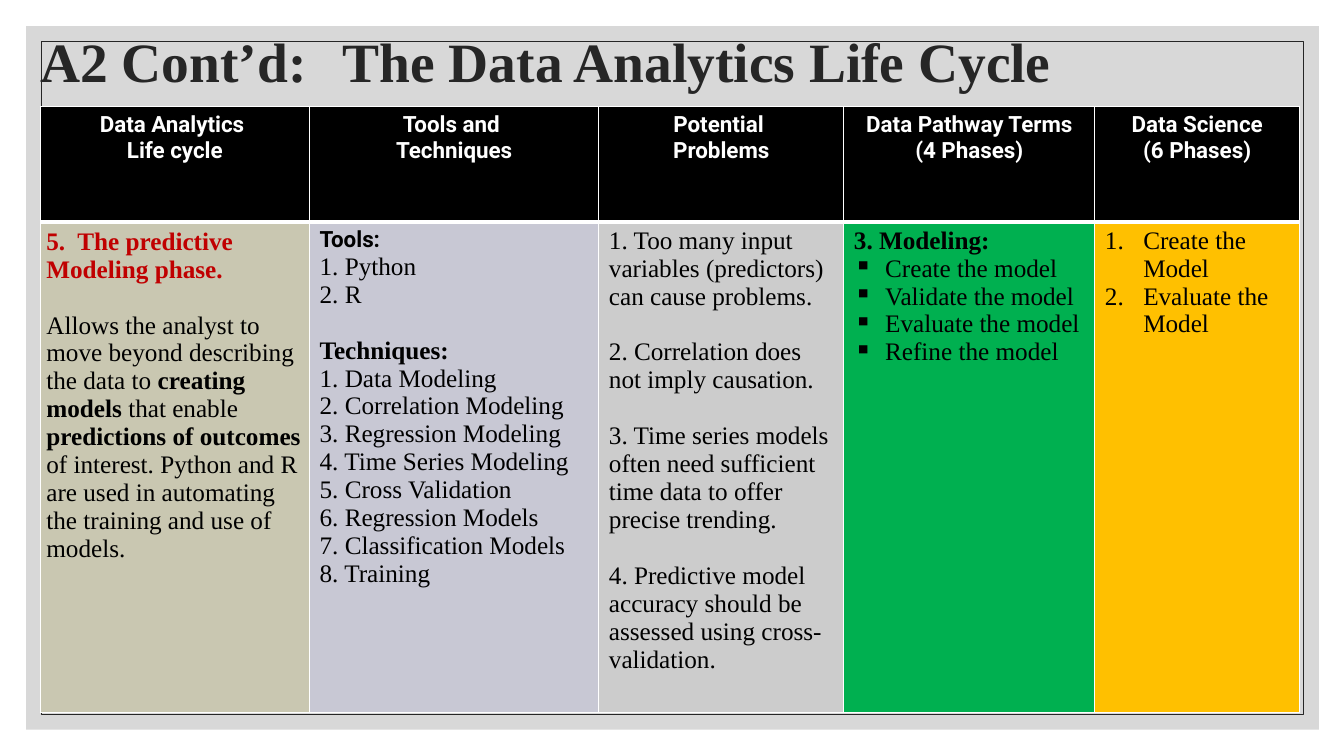
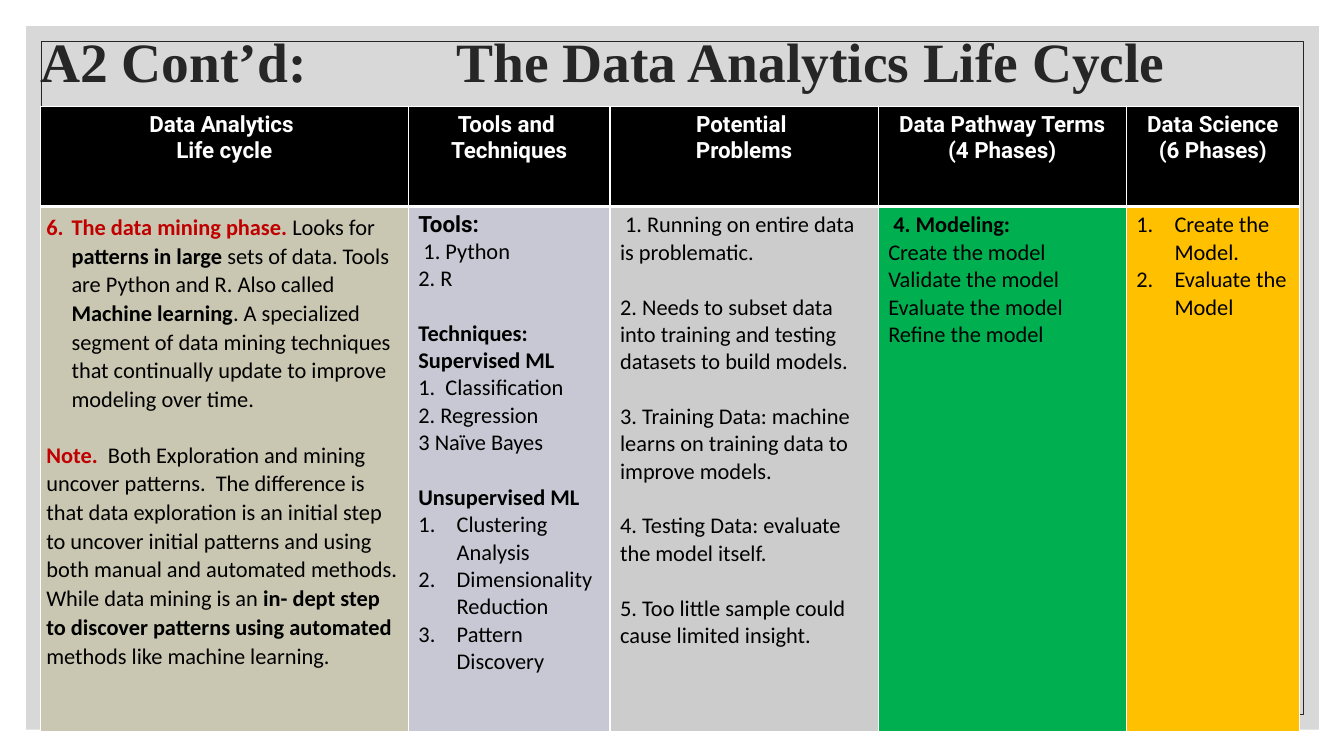
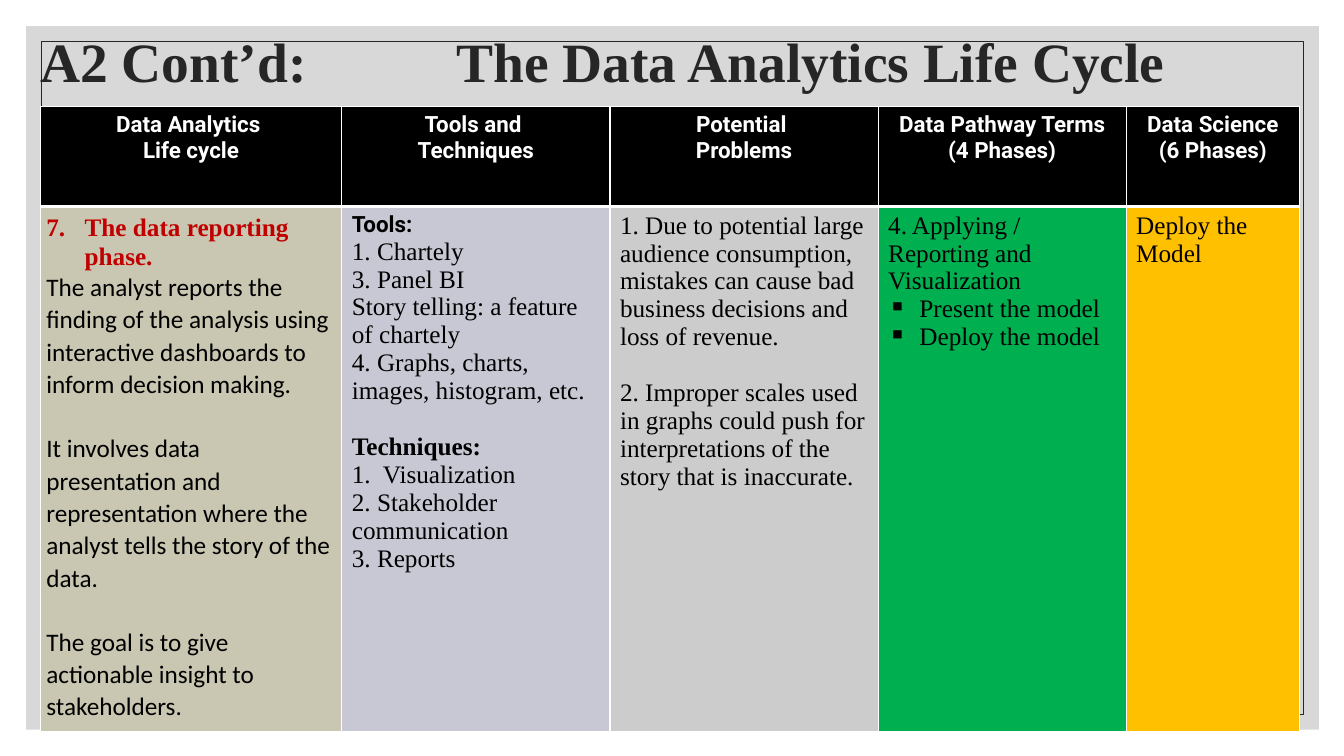
from dataclasses import dataclass
from typing import NamedTuple

from lxml import etree
from pptx import Presentation
from pptx import util as u
from pptx.dml.color import RGBColor
from pptx.enum import shapes, text
from pptx.oxml.ns import qn

# Shared colours
BLACK, WHITE, RED, INK, PANEL = "000000", "FFFFFF", "C00000", "262626", "BFBFBF"
COLUMN_FILLS = ("C9C7B1", "C8C8D4", "CCCCCC", "00B050", "FFC000")

HEADINGS = (
    ("Data Analytics ", "Life cycle"),
    ("Tools and ", "Techniques"),
    ("Potential ", "Problems"),
    ("Data Pathway Terms", "(4 Phases)"),
    ("Data Science", "(6 Phases)"),
)


# Building blocks
class Face(NamedTuple):
    font: str
    size: float
    gap: float = 0  # points above a paragraph that opens a new group
    spacing: float = 1.0


class Run(NamedTuple):
    text: str
    bold: bool = False
    color: str = BLACK


@dataclass(frozen=True)
class Para:
    face: Face
    runs: tuple[Run, ...]
    gap: bool = False
    mark: str = ""  # "1." numbers the paragraph, any other sign is a bullet
    start: int = 1
    indent: float = 0
    centred: bool = False


@dataclass(frozen=True)
class Phase:
    title_tab: float
    widths: tuple[float, ...]
    heights: tuple[float, float]
    cells: tuple[list[Para], ...]


TITLE = Face("Times New Roman", 39.6, spacing=0.9)
HEAD = Face("Roboto", 16)
SERIF = Face("Times New Roman", 18, 20)
SANS = Face("Calibri", 16, 19.5)
MINING = Face("Calibri", 16, 19, 1.05)
REPORT = Face("Calibri", 18, 23, 1.05)
REPORT_HEAD = Face("Times New Roman", 18, 0, 1.05)


def bold(words: str) -> Run:
    return Run(words, True)


def red(words: str) -> Run:
    return Run(words, True, RED)


def para(face: Face, *parts: str | Run, **options) -> Para:
    runs = tuple(Run(p) if isinstance(p, str) else p for p in parts)
    return Para(face, runs, **options)


def lines(face: Face, *items: str) -> list[Para]:
    return [para(face, item) for item in items]


def groups(face: Face, *items: str) -> list[Para]:
    return [para(face, item, gap=i > 0) for i, item in enumerate(items)]


def bullets(face: Face, *items: str) -> list[Para]:
    return [para(face, item, mark="▪", indent=0.31) for item in items]


def numbered(face: Face, *items: str) -> list[Para]:
    return [para(face, item, mark="1.", indent=0.38) for item in items]


TOOLS = para(HEAD, bold("Tools:"))

# Content
PHASES = (
    Phase(
        3.0, (2.67, 2.87, 2.43, 2.49, 2.03), (1.14, 4.87),
        (
            [
                para(SERIF, red("5.  The predictive")),
                para(SERIF, red("Modeling phase.")),
                para(
                    SERIF,
                    "Allows the analyst to move beyond describing the data to ",
                    bold("creating models"), " that enable ",
                    bold("predictions of outcomes"),
                    " of interest. Python and R are used in automating the "
                    "training and use of models.",
                    gap=True,
                ),
            ],
            [
                TOOLS,
                *lines(SERIF, "1. Python", "2. R"),
                para(SERIF, bold("Techniques:"), gap=True),
                *lines(
                    SERIF, "1. Data Modeling", "2. Correlation Modeling",
                    "3. Regression Modeling", "4. Time Series Modeling",
                    "5. Cross Validation", "6. Regression Models",
                    "7. Classification Models", "8. Training",
                ),
            ],
            groups(
                SERIF,
                "1. Too many input variables (predictors) can cause problems.",
                "2. Correlation does not imply causation.",
                "3. Time series models often need sufficient time data to "
                "offer precise trending.",
                "4. Predictive model accuracy should be assessed using "
                "cross-validation.",
            ),
            [
                para(SERIF, bold("3. Modeling:")),
                *bullets(SERIF, "Create the model", "Validate the model",
                         "Evaluate the model", "Refine the model"),
            ],
            numbered(SERIF, "Create the Model", "Evaluate the Model"),
        ),
    ),
    Phase(
        4.13, (3.65, 2.0, 2.66, 2.46, 1.72), (0.99, 5.21),
        (
            [
                para(
                    MINING, red("The data mining phase. "), "Looks for ",
                    bold("patterns in large"),
                    " sets of data. Tools are Python and R. Also called ",
                    bold("Machine learning"),
                    ". A specialized segment of data mining techniques that "
                    "continually update to improve modeling over time.",
                    mark="1.", start=6, indent=0.25,
                ),
                para(
                    MINING, red("Note.  "),
                    "Both Exploration and mining uncover patterns.  The "
                    "difference is that data exploration is an initial step to "
                    "uncover initial patterns and using both manual and "
                    "automated methods. While data mining is an ",
                    bold("in- dept step to discover patterns using automated"),
                    " methods like machine learning.",
                    gap=True,
                ),
            ],
            [
                TOOLS,
                *lines(SANS, " 1. Python", "2. R"),
                para(SANS, bold("Techniques:"), gap=True),
                para(SANS, bold("Supervised ML")),
                *lines(SANS, "1.  Classification", "2. Regression",
                       "3 Naïve Bayes"),
                para(SANS, bold("Unsupervised ML"), gap=True),
                *numbered(SANS, "Clustering Analysis",
                          "Dimensionality Reduction", "Pattern Discovery"),
            ],
            groups(
                SANS,
                " 1. Running on entire data is problematic.",
                "2. Needs to subset data into training and testing datasets "
                "to build models.",
                "3. Training Data: machine learns on training data to improve "
                "models.",
                "4. Testing Data: evaluate the model itself.",
                "5. Too little sample could cause limited insight.",
            ),
            [
                para(SANS, bold(" 4. Modeling:")),
                *lines(SANS, "Create the model", "Validate the model",
                       "Evaluate the model", "Refine the model"),
            ],
            numbered(SANS, "Create the Model.", "Evaluate the Model"),
        ),
    ),
    Phase(
        4.13, (2.99, 2.66, 2.66, 2.46, 1.72), (0.99, 5.21),
        (
            [
                para(REPORT_HEAD, red("The data reporting phase."),
                     mark="1.", start=7, indent=0.38),
                para(REPORT, "The analyst reports the finding of the analysis "
                     "using interactive dashboards to inform decision making."),
                para(REPORT, "It involves data presentation and representation "
                     "where the analyst tells the story of the data.", gap=True),
                para(REPORT, "The goal is to give actionable insight to "
                     "stakeholders.", gap=True),
            ],
            [
                TOOLS,
                *lines(
                    SERIF, "1. Chartely", "3. Panel BI",
                    "Story telling: a feature of chartely",
                    "4. Graphs, charts, images, histogram, etc.",
                ),
                para(SERIF, bold("Techniques:"), gap=True),
                *lines(SERIF, "1.  Visualization",
                       "2. Stakeholder communication", "3. Reports"),
            ],
            groups(
                SERIF,
                "1. Due to potential large audience consumption, mistakes can "
                "cause bad business decisions and loss of revenue.",
                "2. Improper scales used in graphs could push for "
                "interpretations of the story that is inaccurate.",
            ),
            [
                *lines(SERIF, "4. Applying / Reporting and Visualization"),
                *bullets(SERIF, "Present the model", "Deploy the model"),
            ],
            lines(SERIF, "Deploy the Model"),
        ),
    ),
)


# Drawing helpers
def rgb(color: str) -> RGBColor:
    return RGBColor.from_string(color)


def add_mark(paragraph, item: Para) -> None:
    props = paragraph._p.get_or_add_pPr()
    props.set("marL", str(u.Inches(item.indent)))
    props.set("indent", str(-u.Inches(item.indent)))
    if item.mark == "1.":
        number = etree.SubElement(props, qn("a:buAutoNum"), type="arabicPeriod")
        if item.start > 1:
            number.set("startAt", str(item.start))
    else:
        etree.SubElement(props, qn("a:buChar"), char=item.mark)


def write(frame, items: list[Para]) -> None:
    frame.word_wrap = True
    for i, item in enumerate(items):
        paragraph = frame.add_paragraph() if i else frame.paragraphs[0]
        if item.mark:
            add_mark(paragraph, item)
        if item.centred:
            paragraph.alignment = text.PP_ALIGN.CENTER
        paragraph.line_spacing = item.face.spacing
        if item.gap:
            paragraph.space_before = u.Pt(item.face.gap)
        for part in item.runs:
            run = paragraph.add_run()
            run.text = part.text
            run.font.name = item.face.font
            run.font.size = u.Pt(item.face.size)
            run.font.bold = part.bold
            run.font.color.rgb = rgb(part.color)


def set_borders(cell, top: float, bottom: float) -> None:
    props = cell._tc.get_or_add_tcPr()
    widths = {"lnL": 1, "lnR": 1, "lnT": top, "lnB": bottom}
    for i, (side, width) in enumerate(widths.items()):
        line = etree.Element(qn(f"a:{side}"), w=str(u.Pt(width)))
        fill = etree.SubElement(line, qn("a:solidFill"))
        etree.SubElement(fill, qn("a:srgbClr"), val=WHITE)
        props.insert(i, line)


def fill_cell(cell, color: str, items: list[Para], top: float, bottom: float) -> None:
    cell.fill.solid()
    cell.fill.fore_color.rgb = rgb(color)
    set_borders(cell, top, bottom)
    write(cell.text_frame, items)


def add_backdrop(slide) -> None:
    panel, frame = (
        slide.shapes.add_shape(shapes.MSO_SHAPE.RECTANGLE, *map(u.Inches, box))
        for box in ((0.26, 0.26, 12.82, 6.98), (0.41, 0.41, 12.52, 6.68))
    )
    panel.shadow.inherit = frame.shadow.inherit = False
    panel.fill.solid()
    panel.fill.fore_color.rgb = rgb(PANEL)
    color = panel._element.spPr.find(f".//{qn('a:srgbClr')}")
    etree.SubElement(color, qn("a:alpha"), val="60000")
    panel.line.fill.background()
    frame.fill.background()
    frame.line.color.rgb = rgb(INK)
    frame.line.width = u.Pt(0.5)


def add_title(slide, tab: float) -> None:
    box = slide.shapes.add_textbox(*map(u.Inches, (0.3, 0.34, 11.86, 0.6)))
    frame = box.text_frame
    frame.margin_top = frame.margin_bottom = 0
    frame.vertical_anchor = text.MSO_ANCHOR.MIDDLE
    stops = etree.SubElement(frame.paragraphs[0]._p.get_or_add_pPr(), qn("a:tabLst"))
    etree.SubElement(stops, qn("a:tab"), pos=str(u.Inches(tab)), algn="l")
    words = "A2 Cont’d:\tThe Data Analytics Life Cycle"
    write(frame, [para(TITLE, Run(words, True, INK))])


def add_phase_table(slide, phase: Phase) -> None:
    size = (sum(phase.widths), sum(phase.heights))
    table = slide.shapes.add_table(
        2, len(HEADINGS), *map(u.Inches, (0.4, 1.06, *size))
    ).table
    table.horz_banding = False
    for row, height in zip(table.rows, phase.heights):
        row.height = u.Inches(height)
    for i, width in enumerate(phase.widths):
        table.columns[i].width = u.Inches(width)
        heading = [para(HEAD, Run(words, True, WHITE), centred=True)
                   for words in HEADINGS[i]]
        fill_cell(table.cell(0, i), BLACK, heading, 1, 3)
        fill_cell(table.cell(1, i), COLUMN_FILLS[i], phase.cells[i], 3, 1)
    summary = table.cell(1, 0)
    summary.margin_left = summary.margin_right = u.Inches(0.06)
    summary.margin_top = summary.margin_bottom = u.Inches(0.06)


def main() -> None:
    deck = Presentation()
    deck.slide_width, deck.slide_height = u.Inches(13.33), u.Inches(7.5)
    for phase in PHASES:
        slide = deck.slides.add_slide(deck.slide_layouts[6])
        add_backdrop(slide)
        add_title(slide, phase.title_tab)
        add_phase_table(slide, phase)
    deck.save("out.pptx")


if __name__ == "__main__":
    main()
